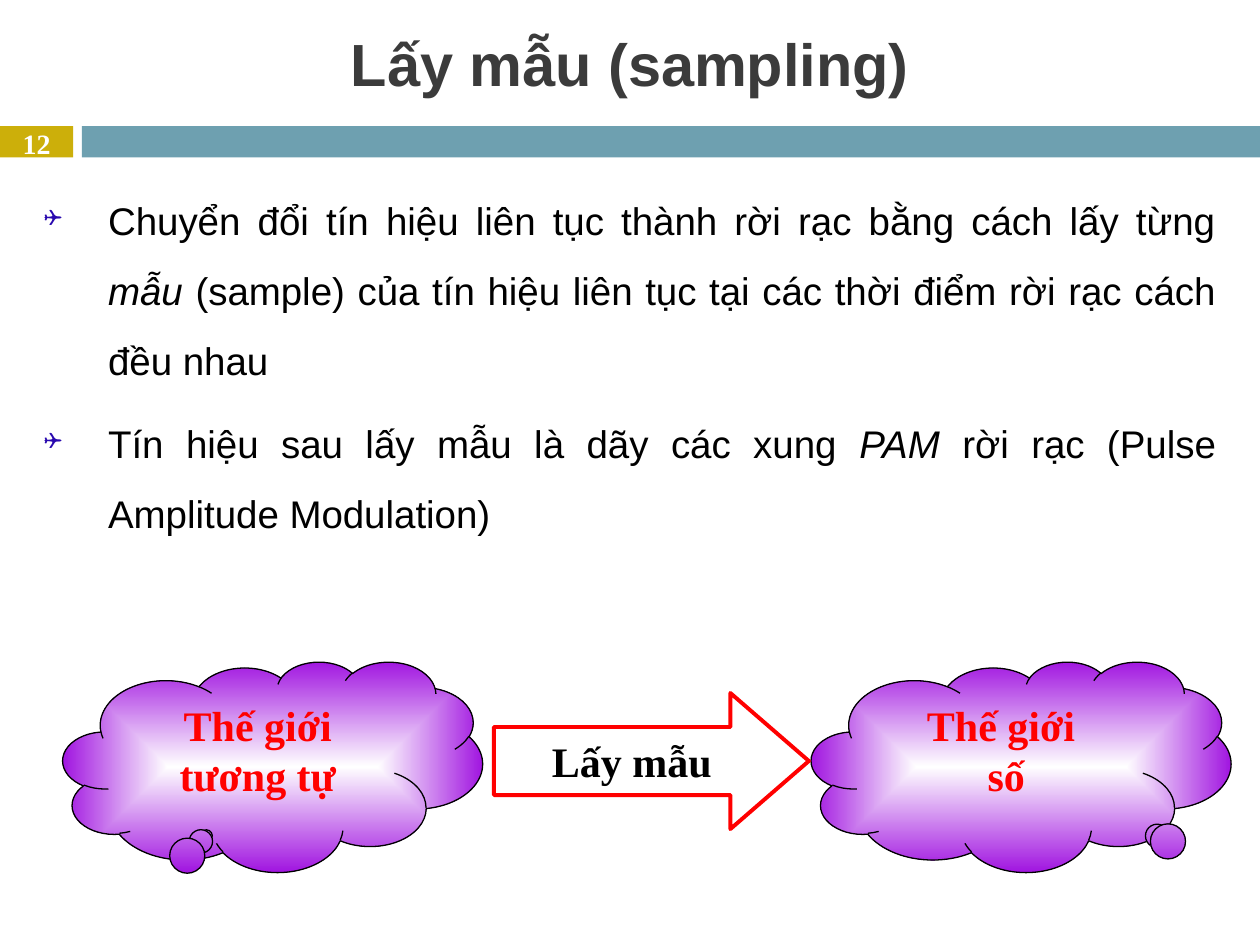
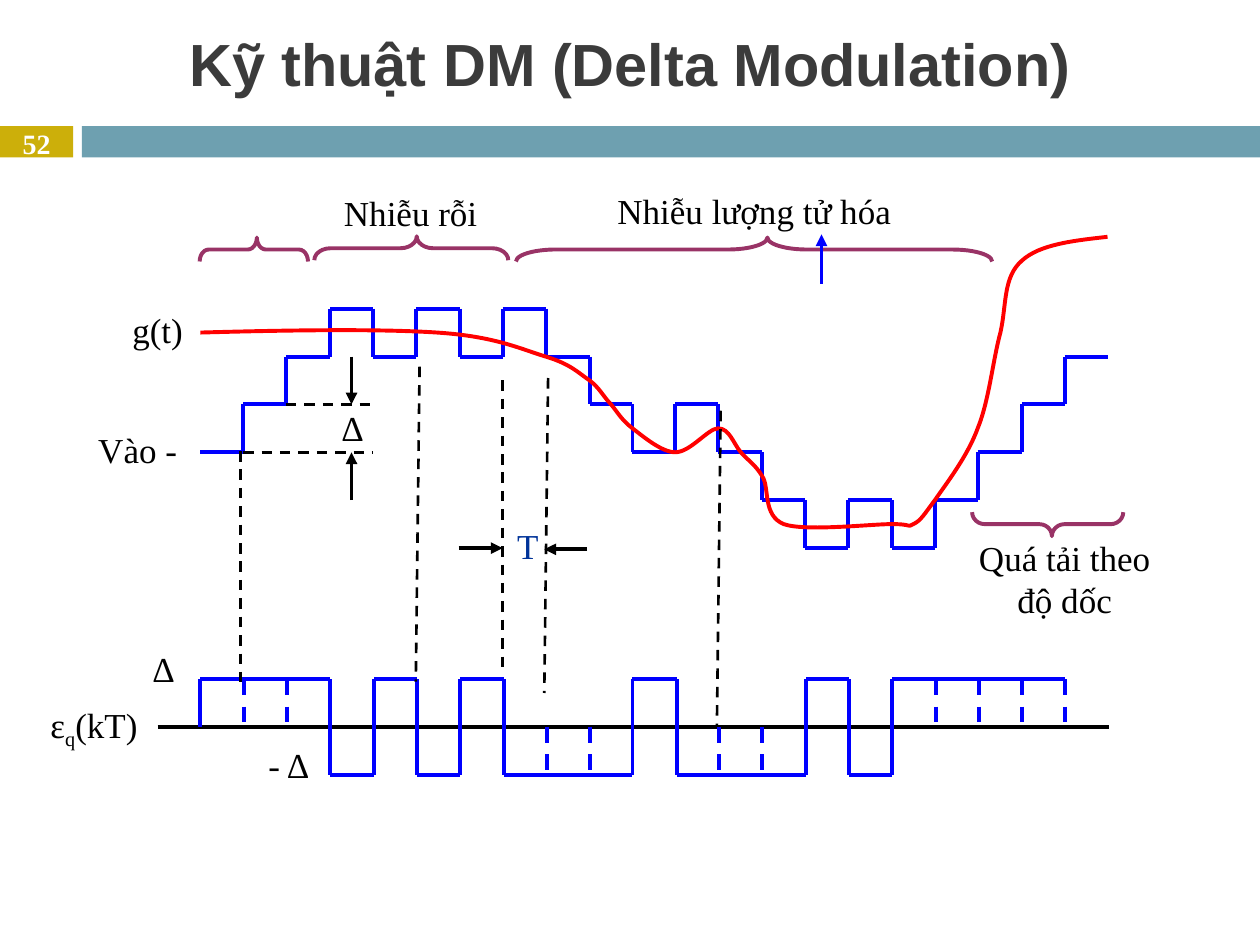
import lxml.etree
import pptx
import pptx.dml.color
import pptx.enum.dml
import pptx.enum.shapes
import pptx.enum.text
import pptx.oxml.ns
import pptx.util

PX = 9144  # 100 px to the inch
SHAPE = pptx.enum.shapes.MSO_SHAPE
ALIGN = pptx.enum.text.PP_ALIGN
MID = pptx.enum.text.MSO_ANCHOR.MIDDLE
TOP = pptx.enum.text.MSO_ANCHOR.TOP
rgb = pptx.dml.color.RGBColor.from_string
qn = pptx.oxml.ns.qn

SANS, SERIF = "Arial", "Times New Roman"
BLACK, WHITE, RED, BLUE = "000000", "FFFFFF", "FF0000", "0000FF"
GOLD, TEAL, GREY = "CCAF0A", "6EA0B0", "3B3B3B"
PURPLE, PLUM, NAVY, INDIGO = "A116E0", "993366", "003399", "2909AF"


def write(frame, paras, size, color=BLACK, bold=False, align=ALIGN.CENTER, font=SERIF):
    """Fill a text frame; each paragraph is a list of (text, style) runs."""
    for i, runs in enumerate(paras):
        para = frame.paragraphs[0] if i == 0 else frame.add_paragraph()
        para.alignment = align
        for text, style in runs:
            run = para.add_run()
            run.text = text
            run.font.name = font
            run.font.size = pptx.util.Pt(size)
            run.font.bold = bold
            run.font.italic = style == "italic"
            run.font.color.rgb = rgb(color)
            if style == "sub":
                run.font._element.set("baseline", "-25000")


def draw(slide, ends, color=BLUE, width=2.25, dash=False, arrow=False):
    """Draw a straight line between ends (x1, y1, x2, y2) in px."""
    link = slide.shapes.add_connector(
        pptx.enum.shapes.MSO_CONNECTOR.STRAIGHT, *[round(e) * PX for e in ends])
    link.line.color.rgb = rgb(color)
    link.line.width = pptx.util.Pt(width)
    if dash:
        link.line.dash_style = pptx.enum.dml.MSO_LINE.DASH
    if arrow:
        tail = lxml.etree.SubElement(link.line._get_or_add_ln(), qn("a:tailEnd"))
        tail.set("type", "triangle")
    lxml.etree.SubElement(link._element.spPr, qn("a:effectLst"))


deck = pptx.Presentation()
deck.slide_width, deck.slide_height = 1000 * PX, 750 * PX

# Shared frame: bands, slide number, title
pages = []
for title, number in [("Lấy mẫu (sampling)", "12"),
                      ("Kỹ thuật DM (Delta Modulation)", "52")]:
    page = deck.slides.add_slide(deck.slide_layouts[6])
    pages.append(page)
    for left, width, color in [(0, 58, GOLD), (65, 935, TEAL)]:
        band = page.shapes.add_shape(SHAPE.RECTANGLE, left * PX, 100 * PX, width * PX, 25 * PX)
        band.shadow.inherit = False
        band.fill.solid()
        band.fill.fore_color.rgb = rgb(color)
        band.line.fill.background()
    for text, place, size, color, font in [
            (number, (0, 100, 58, 27), 16, WHITE, SERIF),
            (title, (0, 8, 1000, 83), 34, GREY, SANS)]:
        frame = page.shapes.add_textbox(*[p * PX for p in place]).text_frame
        frame.word_wrap = True
        frame.vertical_anchor = MID
        write(frame, [[(text, "")]], size, color, True, font=font)
sample, delta = pages

# Sampling: two bullets
frame = sample.shapes.add_textbox(25 * PX, 133 * PX, 950 * PX, 350 * PX).text_frame
frame.word_wrap = True
write(frame, [
    [("Chuyển đổi tín hiệu liên tục thành rời rạc bằng cách lấy từng ", ""),
     ("mẫu", "italic"),
     (" (sample) của tín hiệu liên tục tại các thời điểm rời rạc cách đều nhau", "")],
    [("Tín hiệu sau lấy mẫu là dãy các xung ", ""),
     ("PAM ", "italic"),
     ("rời rạc (Pulse Amplitude Modulation)", "")],
], 22, align=ALIGN.JUSTIFY, font=SANS)
for i, para in enumerate(frame.paragraphs):
    para.line_spacing = 1.51
    para.space_before = pptx.util.Pt(8 * i)
    props = para._p.get_or_add_pPr()
    props.set("marL", str(51 * PX))
    props.set("indent", str(-51 * PX))
    tint = lxml.etree.SubElement(props, qn("a:buClr"))
    lxml.etree.SubElement(tint, qn("a:srgbClr")).set("val", INDIGO)
    lxml.etree.SubElement(props, qn("a:buSzPct")).set("val", "60000")
    lxml.etree.SubElement(props, qn("a:buFont")).set("typeface", "Wingdings")
    lxml.etree.SubElement(props, qn("a:buChar")).set("char", "❑")

# Sampling: analog world, arrow, digital world
for left, tail, words in [(50, -0.158, ["Thế giới tương tự"]),
                          (644, 0.323, ["Thế giới ", "số"])]:
    cloud = sample.shapes.add_shape(
        SHAPE.CLOUD_CALLOUT, left * PX, 525 * PX, 333 * PX, 167 * PX)
    cloud.shadow.inherit = False
    cloud.adjustments[0], cloud.adjustments[1] = tail, 0.328
    cloud.fill.gradient()
    for stop, color in zip(cloud.fill.gradient_stops, [WHITE, PURPLE]):
        stop.color.rgb = rgb(color)
    grad = cloud._element.spPr.find(qn("a:gradFill"))
    grad.remove(grad.find(qn("a:lin")))
    shade = lxml.etree.SubElement(grad, qn("a:path"))
    shade.set("path", "rect")
    focus = lxml.etree.SubElement(shade, qn("a:fillToRect"))
    for side in "ltrb":
        focus.set(side, "50000")
    cloud.line.color.rgb = rgb(BLACK)
    cloud.line.width = pptx.util.Pt(0.75)
    cloud.text_frame.vertical_anchor = TOP
    write(cloud.text_frame, [[(word, "")] for word in words], 24, RED, True)

arrow = sample.shapes.add_shape(SHAPE.RIGHT_ARROW, 392 * PX, 550 * PX, 250 * PX, 108 * PX)
arrow.shadow.inherit = False
arrow.adjustments[0], arrow.adjustments[1] = 0.5, 0.577
arrow.fill.solid()
arrow.fill.fore_color.rgb = rgb(WHITE)
arrow.line.color.rgb = rgb(RED)
arrow.line.width = pptx.util.Pt(2.25)
arrow.text_frame.word_wrap = False
arrow.text_frame.vertical_anchor = MID
write(arrow.text_frame, [[("Lấy mẫu", "")]], 24, BLACK, True)

# Delta modulation: labels
for place, runs, color, align in [
        ((40, 558, 103, 38), [("ε", ""), ("q", "sub"), ("(kT)", "")], BLACK, ALIGN.LEFT),
        ((78, 340, 86, 57), [("Vào -", "")], BLACK, ALIGN.LEFT),
        ((105, 245, 69, 38), [("g(t)", "")], BLACK, ALIGN.LEFT),
        ((121, 514, 53, 38), [("Δ", "")], BLACK, ALIGN.LEFT),
        ((213, 590, 69, 38), [("- Δ", "")], BLACK, ALIGN.LEFT),
        ((393, 416, 52, 38), [("T", "")], NAVY, ALIGN.CENTER),
        ((271, 323, 44, 38), [("Δ", "")], BLACK, ALIGN.LEFT),
        ((273, 152, 124, 38), [("Nhiễu rỗi", "")], BLACK, ALIGN.LEFT),
        ((765, 426, 160, 57), [("Quá tải theo độ dốc", "")], BLACK, ALIGN.CENTER),
        ((490, 150, 279, 38), [("Nhiễu lượng tử hóa", "")], BLACK, ALIGN.LEFT)]:
    frame = delta.shapes.add_textbox(*[p * PX for p in place]).text_frame
    frame.word_wrap = True
    frame.margin_left = frame.margin_right = frame.margin_top = frame.margin_bottom = 0
    write(frame, [runs], 20, color, align=align)

# Staircase: one level per sampling period, counted down from the top
STEP, RISE = 34.3, 38
levels = [3, 2, 1, 0, 1, 0, 1, 0, 1, 2, 3, 2, 3, 4, 5, 4, 5, 4, 3, 2, 1]
for i, level in enumerate(levels):
    x, y = 158.85 + i * STEP, 245 + level * RISE
    draw(delta, (x, y, x + STEP, y))
    if i:
        last = 245 + levels[i - 1] * RISE
        draw(delta, (x, min(last, y), x, max(last, y)))

# Smooth input g(t): cubic pieces, each two handles and an end
curve = [
    (230, 262), (302, 261), (347, 264), (393, 267), (413, 277), (433, 283),
    (453, 289), (459, 296), (468, 302), (476, 308), (479, 315), (485, 321),
    (490, 327), (493, 333), (502, 340), (510, 346), (525, 359), (536, 359),
    (548, 359), (562, 340), (570, 340), (579, 340), (582, 352), (588, 359),
    (593, 365), (599, 368), (605, 378), (611, 387), (605, 409), (622, 416),
    (639, 422), (691, 416), (708, 416), (725, 416), (719, 419), (725, 416),
    (731, 413), (733, 409), (742, 397), (751, 384), (768, 362), (776, 340),
    (785, 318), (788, 286), (794, 264), (799, 242), (796, 220), (811, 207),
    (825, 194), (852, 191), (879, 188)]
pen = delta.shapes.build_freeform(159, 264, scale=PX)
pen.add_line_segments(curve, close=False)
wave = pen.convert_to_shape()
steps = list(wave._element.iter(qn("a:lnTo")))
for i in range(0, len(steps), 3):
    bend = lxml.etree.SubElement(steps[i].getparent(), qn("a:cubicBezTo"))
    for step in steps[i:i + 3]:
        bend.append(step[0])
        step.getparent().remove(step)
wave.shadow.inherit = False
wave.fill.background()
wave.line.color.rgb = rgb(RED)
wave.line.width = pptx.util.Pt(2.25)

# Braces over the noise regions and under the overload
for left, top, height, turn, bend, point in [
        (192, 155, 86, 270, 0.378, 0.528), (317, 120, 154, 270, 0.68, 0.528),
        (822, 356, 120, 90, 0.529, 0.472), (589, 9, 378, 270, 1.663, 0.528)]:
    brace = delta.shapes.add_shape(
        SHAPE.RIGHT_BRACE, left * PX, top * PX, 19 * PX, height * PX)
    brace.shadow.inherit = False
    brace.rotation = turn
    brace.adjustments[0], brace.adjustments[1] = bend, point
    brace.fill.background()
    brace.line.color.rgb = rgb(PLUM)
    brace.line.width = pptx.util.Pt(2.25)

# Error pulses: solid edge where the sign flips, dashed half edge where it stays
START, HIGH, AXIS, LOW = 159.45, 539, 577, 615
signs = "+++-+-+---+---+-++++"
draw(delta, (125, AXIS, 880, AXIS), BLACK)
draw(delta, (START, HIGH, START, AXIS))
for i, sign in enumerate(signs):
    x = START + i * STEP
    y = HIGH if sign == "+" else LOW
    draw(delta, (x, y, x + STEP, y))
    if signs[i + 1:i + 2] in ("", sign):
        draw(delta, (x + STEP, min(y, AXIS), x + STEP, max(y, AXIS)), dash=True)
    else:
        draw(delta, (x + STEP, HIGH, x + STEP, LOW))

# Guides and arrows for the step size and the period
for ends in [(227, 321, 296, 321), (193, 359, 296, 359), (399, 302, 399, 530),
             (435, 300, 432, 550), (191, 358, 191, 541), (572, 326, 569, 576),
             (333, 291, 330, 541)]:
    draw(delta, ends, BLACK, 1.5, dash=True)
for ends in [(279, 283, 279, 321), (279, 397, 279, 359),
             (364, 435, 399, 435), (466, 436, 432, 436)]:
    draw(delta, ends, BLACK, arrow=True)
draw(delta, (652, 225, 652, 186), arrow=True)

deck.save("out.pptx")
